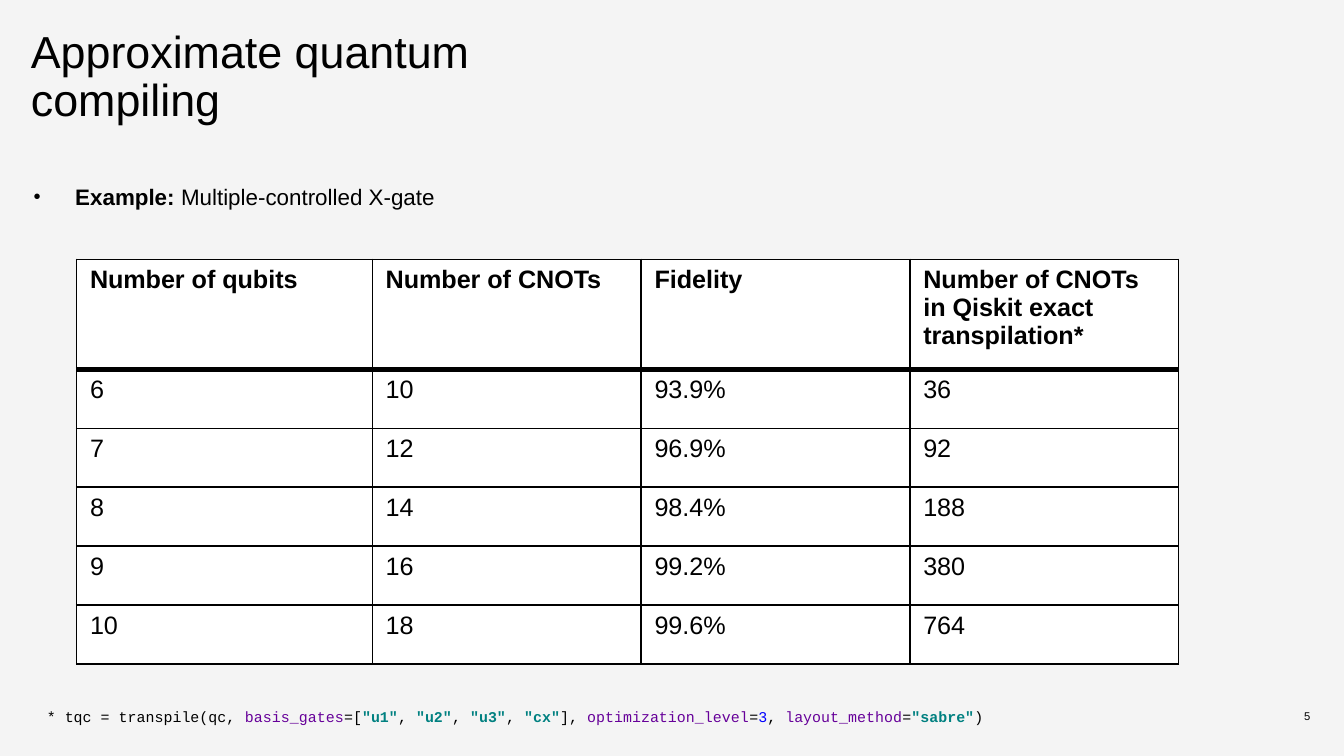
from lxml.etree import SubElement
from pptx import Presentation
from pptx.dml.color import RGBColor
from pptx.enum.text import MSO_ANCHOR, PP_ALIGN
from pptx.oxml.ns import qn
from pptx.util import Inches, Pt

BACKGROUND = RGBColor(0xF4, 0xF4, 0xF4)
BLACK = RGBColor(0, 0, 0)
WHITE = RGBColor(0xFF, 0xFF, 0xFF)
PURPLE = RGBColor(0x66, 0x00, 0x99)
TEAL = RGBColor(0x00, 0x80, 0x80)
BLUE = RGBColor(0x00, 0x00, 0xFF)


def add_run(p, text, size, color=BLACK, bold=False, font="Arial"):
    r = p.add_run()
    r.text = text
    formats = {"name": font, "size": Pt(size), "bold": bold}
    for name, value in formats.items():
        setattr(r.font, name, value)
    r.font.color.rgb = color


def add_text(left, top, width, height, inset=0, **formats):
    sp = s.shapes.add_textbox(Inches(left), Inches(top), Inches(width), Inches(height))
    tf = sp.text_frame
    settings = {"word_wrap": True, "margin_left": Inches(inset), "margin_right": Inches(inset),
                "margin_top": Inches(inset / 2), "margin_bottom": Inches(inset / 2)}
    for name, value in {**settings, **formats}.items():
        setattr(tf, name, value)
    return tf.paragraphs[0]


# 16:9 slide
prs = Presentation()
prs.slide_width, prs.slide_height = Inches(10), Inches(10 * 9 / 16)
s = prs.slides.add_slide(prs.slide_layouts[6])
s.background.fill.solid()
s.background.fill.fore_color.rgb = BACKGROUND

# Title
p = add_text(0.23, 0.22, 4.53, 0.88)
p.line_spacing = 0.9
add_run(p, "Approximate quantum compiling", 24)

# Slide number
p = add_text(7.75, 5.24, 2, 0.18, vertical_anchor=MSO_ANCHOR.MIDDLE)
p.alignment = PP_ALIGN.RIGHT
add_run(p, "5", 6)

# Bulleted example
p = add_text(0.25, 1.36, 9.52, 3.56)
p.space_before = Pt(11)
add_run(p, "Example: ", 12, bold=True)
add_run(p, "Multiple-controlled X-gate", 12)
pPr = p._p.get_or_add_pPr()
pPr.set("marL", str(Inches(0.31)))
pPr.set("indent", str(Inches(-0.31)))
SubElement(SubElement(pPr, qn("a:buClr")), qn("a:srgbClr"), val=str(BLACK))
SubElement(pPr, qn("a:buSzPct"), val="90000")
SubElement(pPr, qn("a:buFont"), typeface="Arial")
SubElement(pPr, qn("a:buChar"), char="•")

# Results table
rows = [
    ("Number of qubits", "Number of CNOTs", "Fidelity",
     "Number of CNOTs in Qiskit exact transpilation*"),
    ("6", "10", "93.9%", "36"),
    ("7", "12", "96.9%", "92"),
    ("8", "14", "98.4%", "188"),
    ("9", "16", "99.2%", "380"),
    ("10", "18", "99.6%", "764"),
]
table_height, header_height = 3.01, 0.82
body_height = (table_height - header_height) / (len(rows) - 1)
table = s.shapes.add_table(len(rows), len(rows[0]), Inches(0.57), Inches(1.93),
                           Inches(8.2), Inches(table_height)).table
for j, column in enumerate(table.columns):
    column.width = Inches(2.2 if j == 0 else 2)
for i, values in enumerate(rows):
    table.rows[i].height = Inches(header_height if i == 0 else body_height)
    # A thick rule separates the header from the body
    borders = {"a:lnL": 1, "a:lnR": 1, "a:lnT": 3 if i == 1 else 1, "a:lnB": 3 if i == 0 else 1}
    for j, value in enumerate(values):
        cell = table.cell(i, j)
        add_run(cell.text_frame.paragraphs[0], value, 13.5, bold=i == 0)
        tcPr = cell._tc.get_or_add_tcPr()
        for tag, width in borders.items():
            ln = SubElement(tcPr, qn(tag), w=str(Pt(width)))
            SubElement(SubElement(ln, qn("a:solidFill")), qn("a:srgbClr"), val=str(BLACK))
        cell.fill.solid()
        cell.fill.fore_color.rgb = WHITE

# Code footnote with syntax colours
p = add_text(0.25, 5.08, 7.89, 0.5, inset=0.1, word_wrap=False,
             vertical_anchor=MSO_ANCHOR.MIDDLE)
code = [
    ("* tqc = transpile(qc, ", BLACK), ("basis_gates", PURPLE), ("=[", BLACK),
    ('"u1"', TEAL), (", ", BLACK), ('"u2"', TEAL), (", ", BLACK),
    ('"u3"', TEAL), (", ", BLACK), ('"cx"', TEAL), ("], ", BLACK),
    ("optimization_level", PURPLE), ("=", BLACK), ("3", BLUE), (", ", BLACK),
    ("layout_method", PURPLE), ("=", BLACK), ('"sabre"', TEAL), (")", BLACK),
]
for text, color in code:
    add_run(p, text, 8, color, bold=color == TEAL, font="Courier New")

prs.save("out.pptx")
